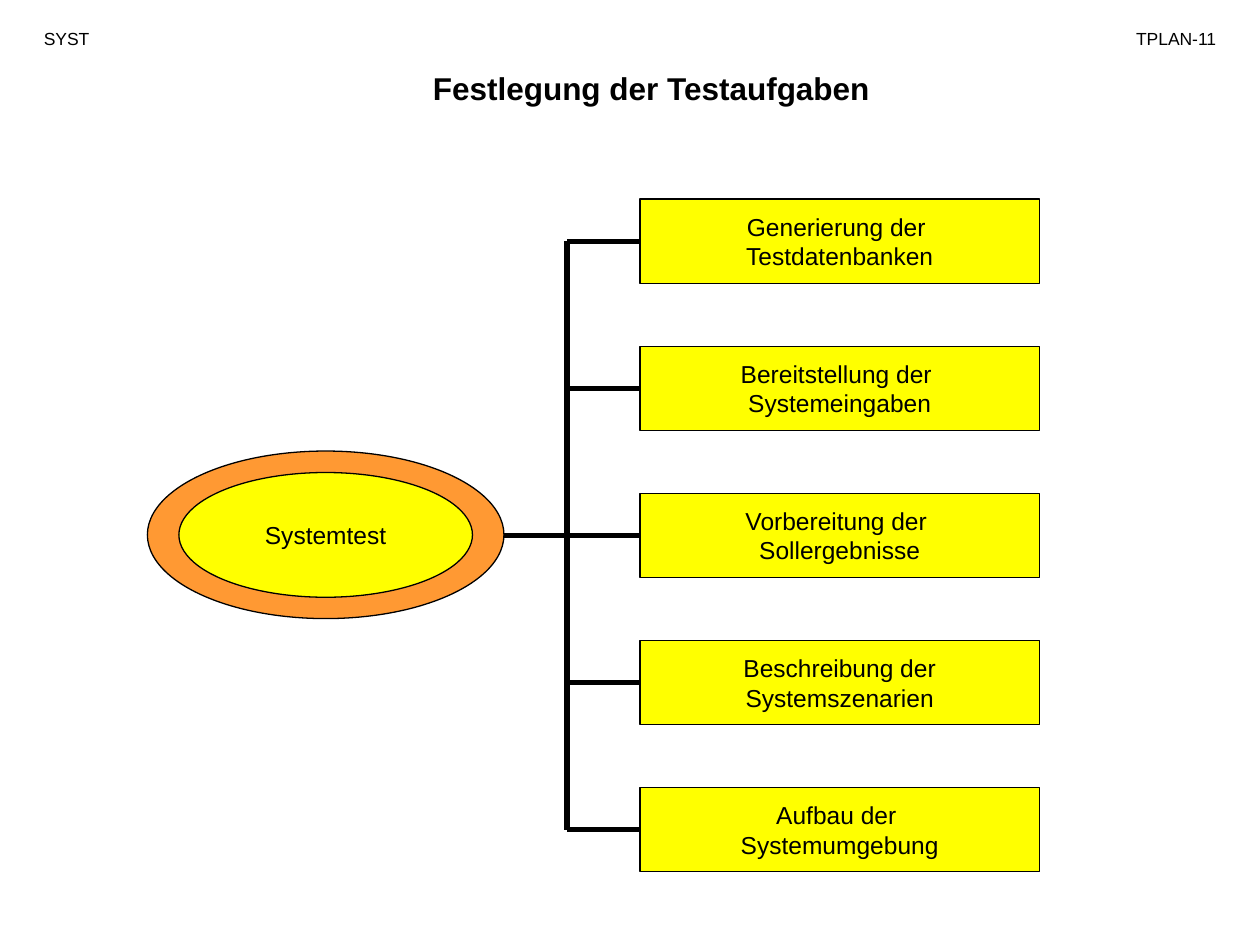
from lxml.etree import SubElement
from pptx import Presentation
from pptx.dml.color import RGBColor
from pptx.enum.shapes import MSO_CONNECTOR, MSO_SHAPE
from pptx.enum.text import MSO_ANCHOR, PP_ALIGN
from pptx.oxml.ns import qn
from pptx.util import Inches, Pt

BLACK = RGBColor(0x00, 0x00, 0x00)
ORANGE = RGBColor(0xFF, 0x99, 0x33)
YELLOW = RGBColor(0xFF, 0xFF, 0x00)

TASKS = [
    ("Generierung der ", "Testdatenbanken"),
    ("Bereitstellung der ", "Systemeingaben"),
    ("Vorbereitung der ", "Sollergebnisse"),
    ("Beschreibung der", "Systemszenarien"),
    ("Aufbau der ", "Systemumgebung"),
]


def write_lines(shape, lines, size, alignment, bold=False, wrap=True):
    """Write one formatted paragraph per line, centred vertically."""
    frame = shape.text_frame
    frame.word_wrap = wrap
    frame.vertical_anchor = MSO_ANCHOR.MIDDLE
    frame.text = "\n".join(lines)
    for paragraph in frame.paragraphs:
        paragraph.alignment = alignment
        paragraph.font.name = "Arial"
        paragraph.font.size = Pt(size)
        paragraph.font.bold = bold
        paragraph.font.color.rgb = BLACK


def add_outlined_shape(slide, kind, box, fill, lines=()):
    """Add a filled shape with a thin black outline and optional text."""
    shape = slide.shapes.add_shape(kind, *box)
    shape.shadow.inherit = False
    shape.fill.solid()
    shape.fill.fore_color.rgb = fill
    shape.line.color.rgb = BLACK
    shape.line.width = Pt(0.75)
    if lines:
        write_lines(shape, lines, 14, PP_ALIGN.CENTER, wrap=False)
    return shape


def add_branch(slide, start, end):
    """Add a thick black straight line between two points."""
    connector = slide.shapes.add_connector(MSO_CONNECTOR.STRAIGHT, *start, *end)
    connector.line.color.rgb = BLACK
    connector.line.width = Pt(3)
    SubElement(connector._element.spPr, qn("a:effectLst"))


def add_title(slide, left, top, width, height):
    """Place the slide title in its placeholder."""
    title = slide.shapes.title
    title.left, title.top, title.width, title.height = left, top, width, height
    write_lines(title, ["Festlegung der Testaufgaben"], 18, PP_ALIGN.CENTER, bold=True)


def add_header(slide, left, top, width, height):
    """Place the chapter label at the left and the page label at the right."""
    label_width = Inches(1)
    labels = [
        ("SYST", left, PP_ALIGN.LEFT),
        ("TPLAN-11", left + width - label_width, PP_ALIGN.RIGHT),
    ]
    for text, label_left, alignment in labels:
        label = slide.shapes.add_textbox(label_left, top, label_width, height)
        write_lines(label, [text], 10, alignment)


def add_system_test(slide, left, top, width, height):
    """Draw the system test as an ellipse within a ring."""
    margin_x, margin_y = Inches(0.25), Inches(0.17)
    inner = (left + margin_x, top + margin_y, width - 2 * margin_x, height - 2 * margin_y)
    add_outlined_shape(slide, MSO_SHAPE.OVAL, (left, top, width, height), ORANGE)
    add_outlined_shape(slide, MSO_SHAPE.OVAL, inner, YELLOW, ["Systemtest"])


def add_task_tree(slide, left, top, width, height):
    """Draw the evenly spaced tasks and the branches leading to them."""
    box_width, box_height = Inches(3.17), Inches(0.67)
    box_left = left + width - box_width
    trunk = left + Inches(0.5)
    pitch = (height - box_height) // (len(TASKS) - 1)
    centers = [top + box_height // 2 + pitch * row for row in range(len(TASKS))]
    root_row = len(TASKS) // 2
    for row, (lines, center) in enumerate(zip(TASKS, centers)):
        box = (box_left, top + pitch * row, box_width, box_height)
        add_outlined_shape(slide, MSO_SHAPE.RECTANGLE, box, YELLOW, lines)
        start = left if row == root_row else trunk
        add_branch(slide, (start, center), (box_left, center))
    add_branch(slide, (trunk, centers[0]), (trunk, centers[-1]))


def main():
    """Build and save the slide."""
    presentation = Presentation()
    presentation.slide_width = Inches(10)
    presentation.slide_height = Inches(7.5)
    slide = presentation.slides.add_slide(presentation.slide_layouts[5])
    add_title(slide, Inches(2.17), Inches(0.5), Inches(6), Inches(0.4))
    add_header(slide, Inches(0.25), Inches(0.17), Inches(9.5), Inches(0.27))
    add_system_test(slide, Inches(1.17), Inches(3.58), Inches(2.83), Inches(1.33))
    add_task_tree(slide, Inches(4), Inches(1.58), Inches(4.25), Inches(5.34))
    presentation.save("out.pptx")


if __name__ == "__main__":
    main()
